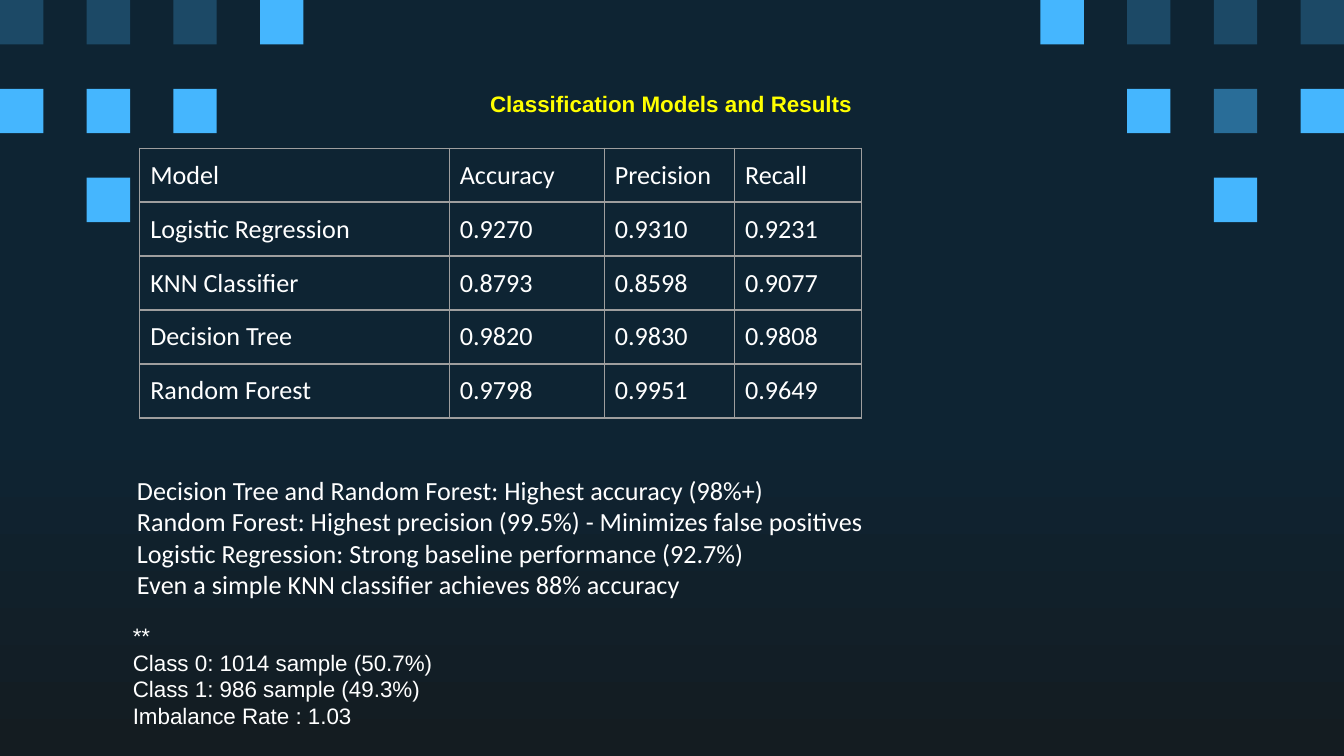
import dataclasses

import lxml.etree
import pptx
import pptx.dml.color
import pptx.enum.shapes
import pptx.enum.text
import pptx.oxml.ns
import pptx.util

Cm = pptx.util.Cm
Pt = pptx.util.Pt
RGB = pptx.dml.color.RGBColor.from_string
Anchor = pptx.enum.text.MSO_ANCHOR
Align = pptx.enum.text.PP_ALIGN


@dataclasses.dataclass(frozen=True)
class Theme:
    night: str = "0E2433"
    ground: str = "141C21"
    bright: str = "45B6FE"
    middle: str = "296D98"
    dim: str = "1C4966"
    title: str = "FFFF00"
    text: str = "FFFFFF"
    border: str = "9E9E9E"
    body_size: int = 14
    small_size: int = 12
    body_font: str = "Calibri"
    small_font: str = "Arial"


theme = Theme()
body = {"name": theme.body_font, "size": Pt(theme.body_size), "bold": False}
small = {"name": theme.small_font, "size": Pt(theme.small_size), "bold": False}


def write(para, text, font_values, colour):
    span = para.add_run()
    span.text = text
    for name, value in font_values.items():
        setattr(span.font, name, value)
    span.font.color.rgb = RGB(colour)


def add_text(page, place, lines, font_values, colour, frame_values, align):
    box = page.shapes.add_textbox(*map(Cm, place))
    for name, value in frame_values.items():
        setattr(box.text_frame, name, value)
    for number, line in enumerate(lines):
        para = box.text_frame.add_paragraph() if number else box.text_frame.paragraphs[0]
        para.alignment = align
        write(para, line, font_values, colour)


deck = pptx.Presentation()
deck.slide_width, deck.slide_height = Cm(25.4), Cm(14.29)
page = deck.slides.add_slide(deck.slide_layouts[6])

backdrop = page.background.fill
backdrop.gradient()
backdrop.gradient_angle = 270
for stop, position, colour in zip(
    backdrop.gradient_stops, (0.56, 1), (theme.night, theme.ground)
):
    stop.position = position
    stop.color.rgb = RGB(colour)

# Squares on a 16-column grid: B bright, M middle, D dim
square_width, square_height = 0.82, 0.84
column_step = (25.4 - square_width) / 15
row_step = 1.68
square_colours = {"B": theme.bright, "M": theme.middle, "D": theme.dim}
square_rows = ("DDDB........BDDD", "BBB..........BMB", ".B............B.")
for row, marks in enumerate(square_rows):
    for column, mark in enumerate(marks):
        if mark in square_colours:
            square = page.shapes.add_shape(
                pptx.enum.shapes.MSO_SHAPE.RECTANGLE,
                Cm(column * column_step), Cm(row * row_step),
                Cm(square_width), Cm(square_height),
            )
            square.shadow.inherit = False
            square.fill.solid()
            square.fill.fore_color.rgb = RGB(square_colours[mark])
            square.line.fill.background()

title_frame = {"word_wrap": True, "vertical_anchor": Anchor.MIDDLE}
add_text(page, (1.98, 1.5, 21.41, 0.91), ["Classification Models and Results"],
         small | {"bold": True}, theme.title, title_frame, Align.CENTER)

results = (
    ("Model", "Accuracy", "Precision", "Recall"),
    ("Logistic Regression", "0.9270", "0.9310", "0.9231"),
    ("KNN Classifier", "0.8793", "0.8598", "0.9077"),
    ("Decision Tree", "0.9820", "0.9830", "0.9808"),
    ("Random Forest", "0.9798", "0.9951", "0.9649"),
)
column_widths = (5.85, 2.93, 2.46, 2.4)
row_height = 1.02
table = page.shapes.add_table(
    len(results), len(column_widths), Cm(2.64), Cm(2.8),
    Cm(sum(column_widths)), Cm(row_height * len(results)),
).table
table.first_row = table.horz_banding = False
for column, width in zip(table.columns, column_widths):
    column.width = Cm(width)
cell_values = {"vertical_anchor": Anchor.MIDDLE} | {
    f"margin_{side}": Cm(0.2) for side in ("left", "right", "top", "bottom")
}
qn = pptx.oxml.ns.qn
for row, texts in zip(table.rows, results):
    row.height = Cm(row_height)
    for cell, text in zip(row.cells, texts):
        for name, value in cell_values.items():
            setattr(cell, name, value)
        write(cell.text_frame.paragraphs[0], text, body, theme.text)
        properties = cell._tc.get_or_add_tcPr()
        for side in ("lnL", "lnR", "lnT", "lnB"):
            border = lxml.etree.SubElement(properties, qn(f"a:{side}"), w=str(Pt(0.75)))
            paint = lxml.etree.SubElement(border, qn("a:solidFill"))
            lxml.etree.SubElement(paint, qn("a:srgbClr"), val=theme.border)
        cell.fill.background()

note_frame = {
    "word_wrap": True,
    "auto_size": pptx.enum.text.MSO_AUTO_SIZE.SHAPE_TO_FIT_TEXT,
}
findings = (
    "Decision Tree and Random Forest: Highest accuracy (98%+)",
    "Random Forest: Highest precision (99.5%) - Minimizes false positives",
    "Logistic Regression: Strong baseline performance (92.7%)",
    "Even a simple KNN classifier achieves 88% accuracy",
)
add_text(page, (2.34, 8.84, 17.4, 2.64), findings, body, theme.text, note_frame, Align.LEFT)
class_balance = (
    "**",
    "Class 0: 1014 sample (50.7%)",
    "Class 1: 986 sample (49.3%)",
    "Imbalance Rate : 1.03",
)
add_text(page, (2.26, 11.63, 14.38, 2.31), class_balance, small, theme.text, note_frame, Align.LEFT)

deck.save("out.pptx")
